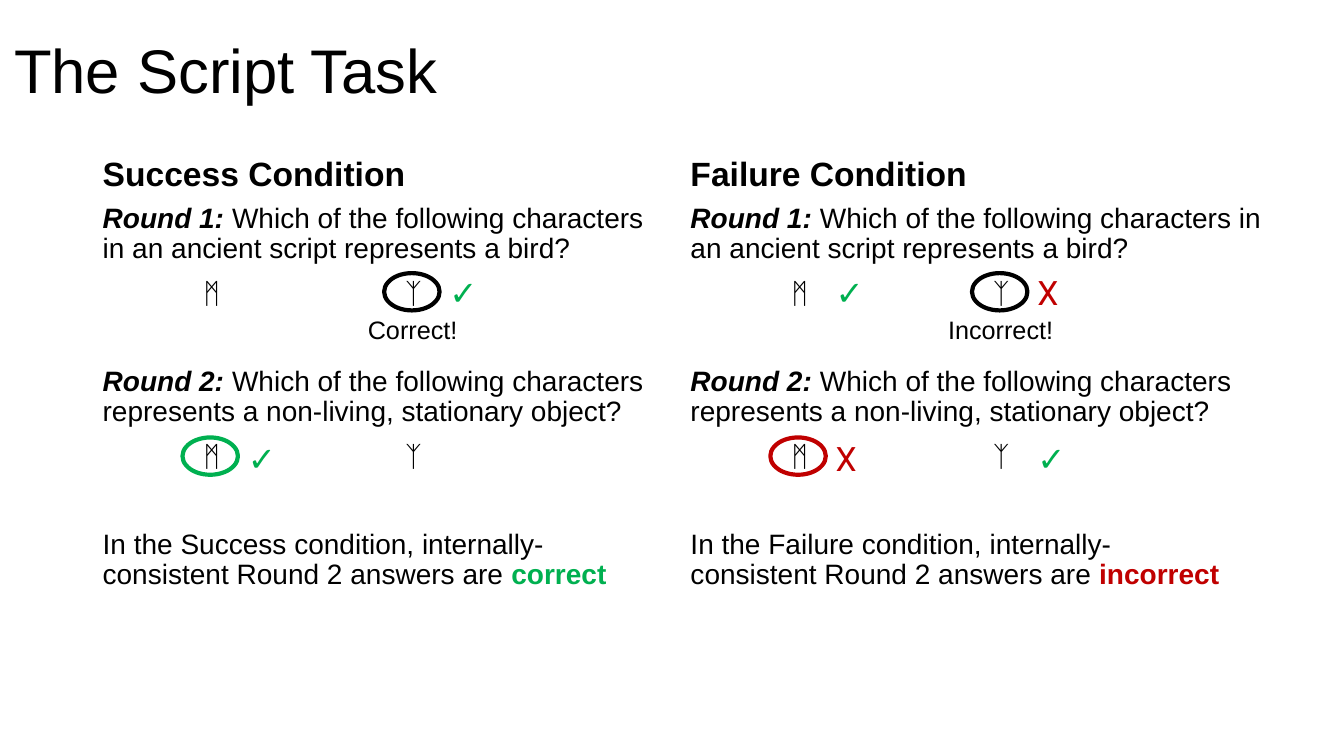
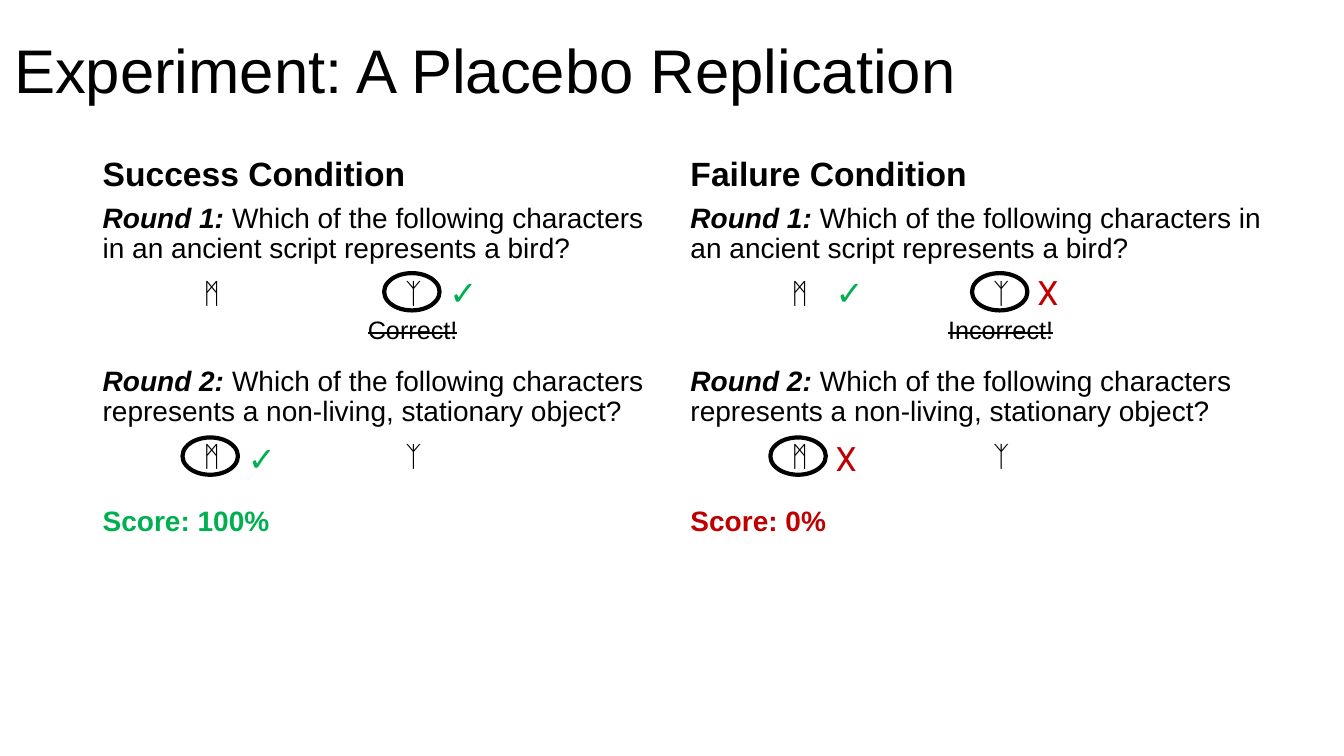
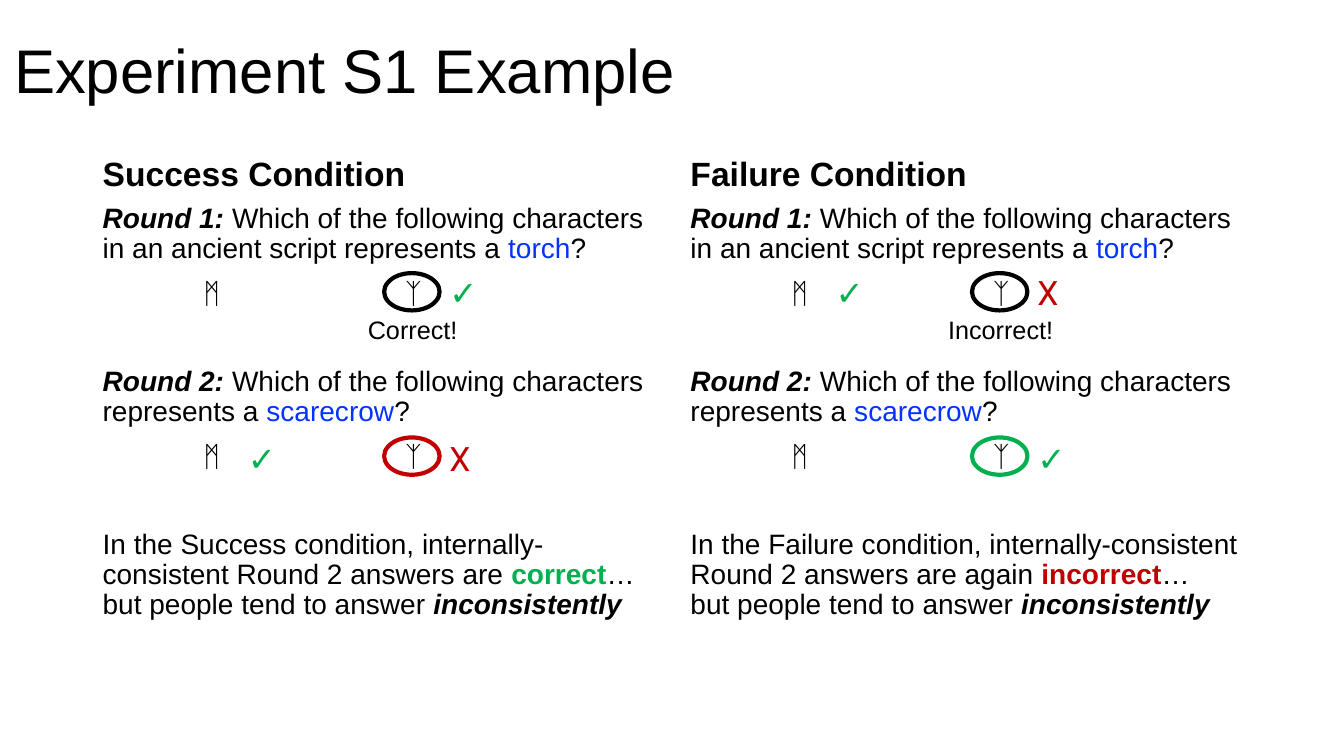
"""Build three slides that compare the success and failure conditions of a script task."""
from dataclasses import dataclass

from lxml import etree
from pptx import Presentation
from pptx.dml.color import RGBColor
from pptx.enum.shapes import MSO_SHAPE
from pptx.enum.text import MSO_ANCHOR, MSO_AUTO_SIZE, PP_ALIGN
from pptx.oxml.ns import qn
from pptx.slide import Slide
from pptx.text.text import TextFrame
from pptx.util import Inches, Pt

OVAL = MSO_SHAPE.OVAL
TOP, MID, LOW = MSO_ANCHOR.TOP, MSO_ANCHOR.MIDDLE, MSO_ANCHOR.BOTTOM
FIXED, GROW = MSO_AUTO_SIZE.NONE, MSO_AUTO_SIZE.SHAPE_TO_FIT_TEXT
LEFT = PP_ALIGN.LEFT

HUES = {
    "black": "000000",
    "green": "00B050",
    "red": "C00000",
    "blue": "0432FF",
}
RUNES = "\tᛗ\t\tᛉ"
TABS = (1, 2, 3)
TICK, CROSS = "✓", "X"
MARKS = {TICK: "green", CROSS: "red"}
COLS = (0.92, 6.75)
RING_TOPS = (2.71, 4.34)
MARK_TOPS = (2.65, 4.3)
GAP, WIDE_GAP = 10, 41.5


@dataclass(frozen=True)
class Span:
    text: str
    hue: str = "black"
    bold: bool = False
    slant: bool = False
    strike: bool = False


@dataclass(frozen=True)
class Para:
    spans: tuple[Span, ...]
    before: float = 0
    pitch: float = 1.0
    tabs: tuple[int, ...] = ()


@dataclass(frozen=True)
class Style:
    size: int
    font: str = "Arial"
    anchor: MSO_ANCHOR = TOP
    wrap: bool = True
    fit: MSO_AUTO_SIZE = FIXED


@dataclass(frozen=True)
class Pick:
    row: int
    slot: int
    mark: str
    ring: str = ""


@dataclass(frozen=True)
class Side:
    name: str
    reply: str
    width: float
    picks: tuple[Pick, ...]
    close: tuple[Span, ...] = ()
    score: Span | None = None


@dataclass(frozen=True)
class Page:
    title: str
    asks: tuple[tuple[Span, ...], tuple[Span, ...]]
    sides: tuple[Side, Side]
    strike: bool = False


TITLE = Style(44, anchor=MID)
HEAD = Style(24, anchor=LOW)
BODY = Style(20)
REPLY = Style(18, wrap=False, fit=GROW)
SCORE = Style(20, wrap=False, fit=GROW)
MARK = Style(24, font="Roboto", fit=GROW)

ASK_1 = "Which of the following characters in an ancient script represents a "
ASK_2 = "Which of the following characters represents a "
PLAIN = ((Span(ASK_1 + "bird?"),), (Span(ASK_2 + "non-living, stationary object?"),))
NAMED = (
    (Span(ASK_1), Span("torch", "blue"), Span("?")),
    (Span(ASK_2), Span("scarecrow", "blue"), Span("?")),
)
WON = (Pick(0, 1, TICK, "black"),)
LOST = (Pick(0, 0, TICK), Pick(0, 1, CROSS, "black"))
RIGHT = Span("correct", "green", bold=True)
WRONG = Span("incorrect", "red", bold=True)
TWIST = (
    Span("… \nbut people tend to answer "),
    Span("inconsistently", bold=True, slant=True),
)

PAGES = (
    Page("The Script Task", PLAIN, (
        Side("Success", "Correct!", 5.64, WON + (Pick(1, 0, TICK, "green"),),
             (Span("In the Success condition, internally-consistent Round 2 answers are "), RIGHT)),
        Side("Failure", "Incorrect!", 5.95,
             LOST + (Pick(1, 0, CROSS, "red"), Pick(1, 1, TICK)),
             (Span("In the Failure condition, internally-\nconsistent Round 2 answers are "), WRONG)),
    )),
    Page("Experiment: A Placebo Replication", PLAIN, (
        Side("Success", "Correct!", 5.64, WON + (Pick(1, 0, TICK, "black"),),
             score=Span("Score: 100%", "green", bold=True)),
        Side("Failure", "Incorrect!", 5.95, LOST + (Pick(1, 0, CROSS, "black"),),
             score=Span("Score: 0%", "red", bold=True)),
    ), strike=True),
    Page("Experiment S1 Example", NAMED, (
        Side("Success", "Correct!", 5.64,
             WON + (Pick(1, 0, TICK), Pick(1, 1, CROSS, "red")),
             (Span("In the Success condition, internally-consistent Round 2 answers are "),
              RIGHT) + TWIST),
        Side("Failure", "Incorrect!", 5.66, LOST + (Pick(1, 1, TICK, "green"),),
             (Span("In the Failure condition, internally-consistent Round 2 answers are again "),
              WRONG) + TWIST),
    )),
)


def tint(name: str) -> RGBColor:
    return RGBColor.from_string(HUES[name])


def set_tabs(props: etree.ElementBase, tabs: tuple[int, ...]) -> None:
    stops = etree.SubElement(props, qn("a:tabLst"))
    for tab in tabs:
        etree.SubElement(stops, qn("a:tab"), pos=str(Inches(tab)), algn="l")


def fill_text(frame: TextFrame, style: Style, paras: list[Para]) -> None:
    frame.word_wrap = style.wrap
    frame.auto_size = style.fit
    frame.vertical_anchor = style.anchor
    for i, para in enumerate(paras):
        line = frame.add_paragraph() if i else frame.paragraphs[0]
        line.alignment = LEFT
        line.line_spacing = para.pitch
        line.space_before = Pt(para.before)
        if para.tabs:
            set_tabs(line._p.get_or_add_pPr(), para.tabs)
        for span in para.spans:
            for j, part in enumerate(span.text.split("\n")):
                if j:
                    line.add_line_break()
                run = line.add_run()
                run.text = part
                run.font.name = style.font
                run.font.size = Pt(style.size)
                run.font.bold = span.bold
                run.font.italic = span.slant
                run.font.color.rgb = tint(span.hue)
                if span.strike:
                    run.font._element.set("strike", "sngStrike")


def add_text(slide: Slide, x: float, y: float, w: float, h: float,
             style: Style, paras: list[Para]) -> None:
    box = slide.shapes.add_textbox(Inches(x), Inches(y), Inches(w), Inches(h))
    fill_text(box.text_frame, style, paras)


def add_title(slide: Slide, text: str) -> None:
    title = slide.shapes.title
    title.left, title.top = Inches(0.04), Inches(0)
    title.width, title.height = Inches(11.5), Inches(1.45)
    fill_text(title.text_frame, TITLE, [Para((Span(text),), pitch=0.9)])


def add_pick(slide: Slide, col: float, pick: Pick) -> None:
    x = col + 0.89 + 2 * pick.slot
    if pick.ring:
        ring = slide.shapes.add_shape(
            OVAL, Inches(x), Inches(RING_TOPS[pick.row]), Inches(0.55), Inches(0.37))
        ring.shadow.inherit = False
        ring.fill.background()
        ring.line.color.rgb = tint(pick.ring)
        ring.line.width = Pt(3)
    sign = Span(pick.mark, MARKS[pick.mark], bold=pick.mark == TICK)
    add_text(slide, x + 0.55, MARK_TOPS[pick.row], 0.4, 0.5, MARK, [Para((sign,))])


def add_side(slide: Slide, col: float, side: Side, page: Page) -> None:
    head = Span(f"{side.name} Condition", bold=True)
    add_text(slide, col, 1.45, 5.65, 0.52, HEAD, [Para((head,), GAP, 0.9)])
    paras = []
    for i, ask in enumerate(page.asks):
        label = Span(f"Round {i + 1}: ", bold=True, slant=True)
        paras.append(Para((label, *ask), WIDE_GAP if i else GAP, 0.9))
        paras.append(Para((Span(RUNES),), GAP, 0.9, TABS))
    if side.close:
        paras.append(Para(side.close, WIDE_GAP, 0.9))
    add_text(slide, col, 1.98, side.width, 5.15, BODY, paras)
    wide = 1.1 if side.reply == "Correct!" else 1.25
    reply = Span(side.reply, strike=page.strike)
    add_text(slide, col + 3.18 - wide / 2, 3.07, wide, 0.4, REPLY, [Para((reply,))])
    for pick in side.picks:
        add_pick(slide, col, pick)
    if side.score:
        wide = 1.87 if side.name == "Success" else 1.56
        add_text(slide, col, 4.95, wide, 0.44, SCORE, [Para((side.score,))])


def main() -> None:
    deck = Presentation()
    deck.slide_width, deck.slide_height = Inches(13.33), Inches(7.5)
    for page in PAGES:
        slide = deck.slides.add_slide(deck.slide_layouts[5])
        add_title(slide, page.title)
        for col, side in zip(COLS, page.sides):
            add_side(slide, col, side, page)
    deck.save("out.pptx")


if __name__ == "__main__":
    main()
